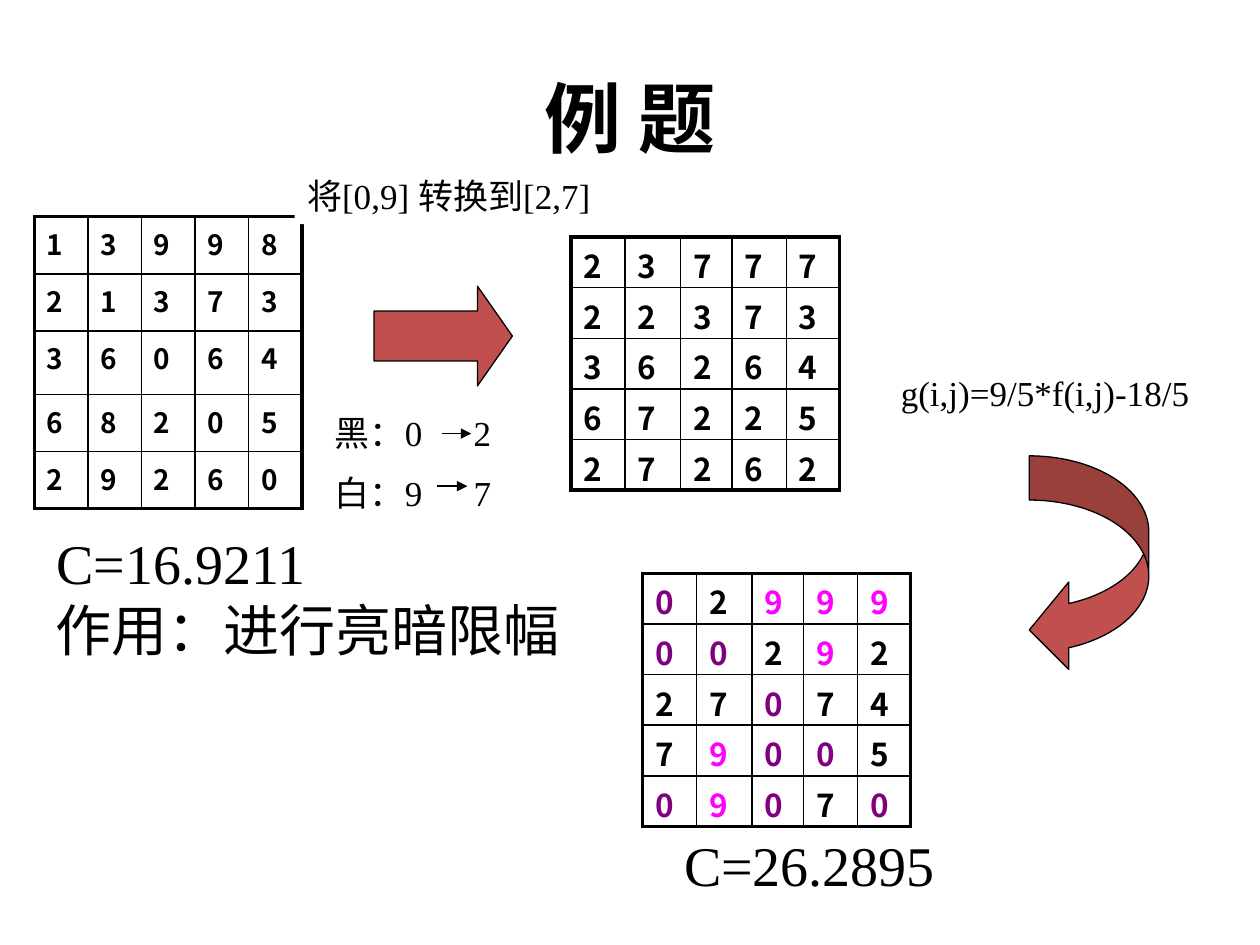
"""Build the slide on clipping the dark and bright grey levels of an image."""
from dataclasses import dataclass, field
from typing import Optional

from lxml import etree
from pptx import Presentation
from pptx.dml.color import RGBColor
from pptx.enum.shapes import MSO_CONNECTOR, MSO_SHAPE
from pptx.enum.text import MSO_ANCHOR, PP_ALIGN
from pptx.oxml.ns import qn
from pptx.util import Cm, Pt

RECT = MSO_SHAPE.RECTANGLE
RIGHT_ARROW = MSO_SHAPE.RIGHT_ARROW
CURVED_ARROW = MSO_SHAPE.CURVED_LEFT_ARROW
STRAIGHT = MSO_CONNECTOR.STRAIGHT
TOP, MIDDLE = MSO_ANCHOR.TOP, MSO_ANCHOR.MIDDLE
LEFT, CENTER = PP_ALIGN.LEFT, PP_ALIGN.CENTER

BLACK = RGBColor(0x00, 0x00, 0x00)
WHITE = RGBColor(0xFF, 0xFF, 0xFF)
RED = RGBColor(0xC0, 0x50, 0x4D)
PURPLE = RGBColor(0x80, 0x00, 0x80)
MAGENTA = RGBColor(0xFF, 0x00, 0xFF)

SERIF, SANS, TITLE_FONT = "Times New Roman", "Noto Sans CJK SC", "Arial"
THIN, THICK, OUTLINE = 1, 2.25, 0.75
TITLE_ONLY = 5


@dataclass
class Grid:
    x: float
    y: float
    cols: list[float]
    rows: list[float]
    values: list[str]
    size: int
    margins: tuple[float, float] = (0.13, 0.13)
    colors: dict[str, RGBColor] = field(default_factory=dict)


@dataclass
class Label:
    x: float
    y: float
    w: float
    h: float
    lines: list[str]
    size: int
    fill: Optional[RGBColor] = None
    line: Optional[RGBColor] = None
    tab: Optional[float] = None


@dataclass
class BlockArrow:
    kind: MSO_SHAPE
    x: float
    y: float
    w: float
    h: float
    adjustments: list[float]


@dataclass
class MapArrow:
    x1: float
    x2: float
    y: float


WIDE_COLS = [1.09, 1.12, 1.04, 1.09, 1.07]
EVEN_ROWS = [1.02] * 5
SNUG = (0.1, 0)

GRIDS = [
    Grid(0.69, 4.37, [1.08] * 5, [1.15, 1.15, 1.28, 1.15, 1.15],
         ["13998", "21373", "36064", "68205", "29260"], 16),
    Grid(11.51, 4.78, WIDE_COLS, EVEN_ROWS,
         ["23777", "22373", "36264", "67225", "27262"], 18, SNUG),
    Grid(12.95, 11.56, WIDE_COLS, EVEN_ROWS,
         ["02999", "00292", "27074", "79005", "09070"], 18, SNUG,
         {"0": PURPLE, "9": MAGENTA}),
]
BLOCK_ARROWS = [
    BlockArrow(RIGHT_ARROW, 7.54, 5.77, 2.79, 2.01, [0.5, 0.35]),
    BlockArrow(CURVED_ARROW, 20.75, 9.19, 2.41, 4.39, [0.37, 0.73, 0.33]),
]
LABELS = [
    Label(6.5, 8.18, 4.39, 2.39, ["黑：0\t2", "白：9\t7"], 20, WHITE, tab=2.8),
    Label(5.94, 3.4, 6.35, 1.12, ["将[0,9] 转换到[2,7]"], 20, WHITE),
    Label(0.86, 11.89, 10.69, 1.63, ["作用：进行亮暗限幅"], 32, WHITE, WHITE),
    Label(17.91, 7.37, 6.96, 1.12, ["g(i,j)=9/5*f(i,j)-18/5"], 20, WHITE),
    Label(0.89, 10.52, 6.81, 1.63, ["C=16.9211"], 32),
    Label(13.54, 16.61, 6.35, 1.63, ["C=26.2895"], 32),
]
MAP_ARROWS = [MapArrow(8.92, 9.5, 8.74), MapArrow(8.81, 9.42, 9.8)]


def add_run(p, text: str, size: int, font: str, color=BLACK, bold=False) -> None:
    r = p.add_run()
    r.text = text
    r.font.size, r.font.name, r.font.bold = Pt(size), font, bold
    r.font.color.rgb = color


def set_border(cell, side: str, width: float) -> None:
    ln = etree.SubElement(cell._tc.get_or_add_tcPr(), qn(f"a:{side}"), w=str(Pt(width)))
    fill = etree.SubElement(ln, qn("a:solidFill"))
    etree.SubElement(fill, qn("a:srgbClr"), val=str(BLACK))


def add_grid(slide, grid: Grid) -> None:
    n_rows, n_cols = len(grid.rows), len(grid.cols)
    table = slide.shapes.add_table(n_rows, n_cols, Cm(grid.x), Cm(grid.y),
                                   Cm(sum(grid.cols)), Cm(sum(grid.rows))).table
    table.first_row = table.horz_banding = False
    for col, width in zip(table.columns, grid.cols):
        col.width = Cm(width)
    for i, (row, height) in enumerate(zip(table.rows, grid.rows)):
        row.height = Cm(height)
        for j, (cell, value) in enumerate(zip(row.cells, grid.values[i])):
            cell.margin_top, cell.margin_bottom = map(Cm, grid.margins)
            cell.vertical_anchor = TOP
            edges = {"lnL": j == 0, "lnR": j == n_cols - 1,
                     "lnT": i == 0, "lnB": i == n_rows - 1}
            for side, outer in edges.items():
                set_border(cell, side, THICK if outer else THIN)
            cell.fill.background()
            add_run(cell.text_frame.paragraphs[0], value, grid.size, SANS,
                    grid.colors.get(value, BLACK), True)


def add_label(slide, label: Label) -> None:
    box = Cm(label.x), Cm(label.y), Cm(label.w), Cm(label.h)
    if label.fill is None:
        sp = slide.shapes.add_textbox(*box)
    else:
        sp = slide.shapes.add_shape(RECT, *box)
        sp.shadow.inherit = False
        sp.fill.solid()
        sp.fill.fore_color.rgb = label.fill
        if label.line is None:
            sp.line.fill.background()
        else:
            sp.line.color.rgb = label.line
            sp.line.width = Pt(OUTLINE)
    tf = sp.text_frame
    tf.word_wrap, tf.vertical_anchor = True, TOP
    for i, text in enumerate(label.lines):
        p = tf.add_paragraph() if i else tf.paragraphs[0]
        p.alignment = LEFT
        if i:
            p.space_before = Pt(label.size / 2)
        if label.tab is not None:
            tabs = etree.SubElement(p._p.get_or_add_pPr(), qn("a:tabLst"))
            etree.SubElement(tabs, qn("a:tab"), pos=str(Cm(label.tab)), algn="l")
        add_run(p, text, label.size, SERIF)


def add_block_arrow(slide, arrow: BlockArrow) -> None:
    sp = slide.shapes.add_shape(arrow.kind, Cm(arrow.x), Cm(arrow.y),
                                Cm(arrow.w), Cm(arrow.h))
    for i, value in enumerate(arrow.adjustments):
        sp.adjustments[i] = value
    sp.shadow.inherit = False
    sp.fill.solid()
    sp.fill.fore_color.rgb = RED
    sp.line.color.rgb = BLACK
    sp.line.width = Pt(OUTLINE)


def add_map_arrow(slide, arrow: MapArrow) -> None:
    cxn = slide.shapes.add_connector(STRAIGHT, Cm(arrow.x1), Cm(arrow.y),
                                     Cm(arrow.x2), Cm(arrow.y))
    cxn.line.color.rgb = BLACK
    cxn.line.width = Pt(OUTLINE)
    etree.SubElement(cxn.line._get_or_add_ln(), qn("a:tailEnd"), type="triangle")
    etree.SubElement(cxn._element.spPr, qn("a:effectLst"))


def main() -> None:
    prs = Presentation()
    prs.slide_width, prs.slide_height = Cm(25.4), Cm(19.05)
    slide = prs.slides.add_slide(prs.slide_layouts[TITLE_ONLY])
    title = slide.shapes.title
    title.left, title.top, title.width, title.height = map(Cm, (1.27, 0.76, 22.86, 3.18))
    title.text_frame.vertical_anchor = MIDDLE
    p = title.text_frame.paragraphs[0]
    p.alignment = CENTER
    add_run(p, "例 题", 44, TITLE_FONT, bold=True)
    for draw, items in ((add_grid, GRIDS), (add_block_arrow, BLOCK_ARROWS),
                        (add_label, LABELS), (add_map_arrow, MAP_ARROWS)):
        for item in items:
            draw(slide, item)
    prs.save("out.pptx")


if __name__ == "__main__":
    main()
